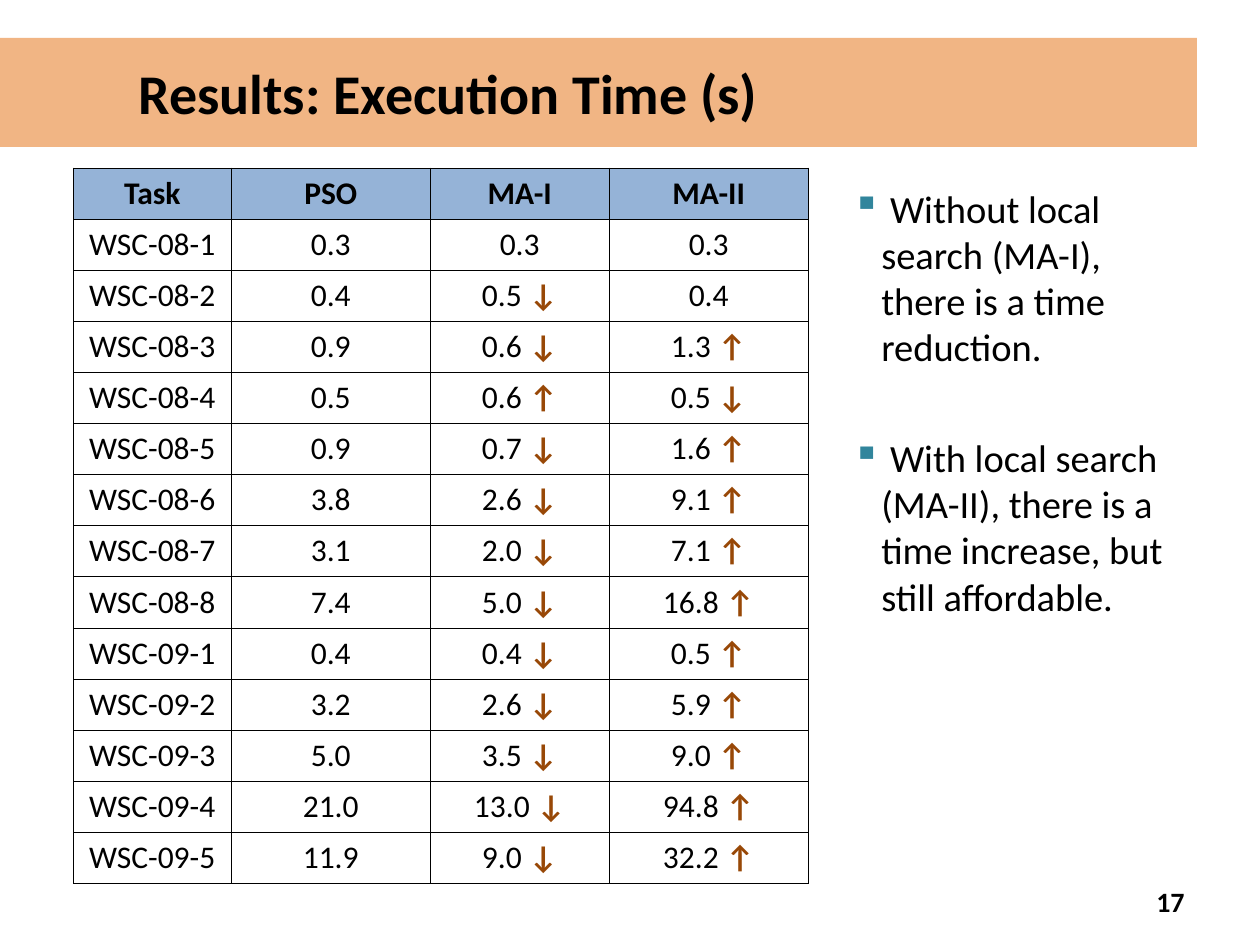
from dataclasses import dataclass

from lxml import etree
from pptx import Presentation
from pptx import util as u
from pptx.dml.color import RGBColor
from pptx.enum import shapes, text
from pptx.oxml import ns

BLACK = RGBColor(0x00, 0x00, 0x00)
WHITE = RGBColor(0xFF, 0xFF, 0xFF)
ORANGE = RGBColor(0xE4, 0x6C, 0x0A)
BLUE = RGBColor(0x95, 0xB3, 0xD7)
BROWN = RGBColor(0x98, 0x48, 0x07)
TEAL = RGBColor(0x31, 0x85, 0x9C)
FACE = "Calibri"
UNIT = u.Inches(10) / 120  # the slide is a grid of 120 columns by 90 rows


@dataclass(frozen=True)
class Box:
    col: float
    row: float
    wide: float
    high: float

    def place(self) -> tuple:
        return tuple(cells(n) for n in (self.col, self.row, self.wide, self.high))


@dataclass(frozen=True)
class Result:
    task: str
    pso: str
    first: str
    second: str

    def values(self) -> tuple:
        return self.task, self.pso, self.first, self.second


BANNER = Box(0, 3.6, 114, 10.4)
TABLE = Box(7, 16, 70, 68.16)
NOTES = Box(80, 17, 34, 65)
NUMBER = Box(86, 83.4, 28, 4.8)
COLS = (15, 19, 17, 19)
HEAD = Result("Task", "PSO", "MA-I", "MA-II")
RESULTS = (
    Result("WSC-08-1", "0.3", "0.3", "0.3"),
    Result("WSC-08-2", "0.4", "0.5 ↓", "0.4"),
    Result("WSC-08-3", "0.9", "0.6 ↓", "1.3 ↑"),
    Result("WSC-08-4", "0.5", "0.6 ↑", "0.5 ↓"),
    Result("WSC-08-5", "0.9", "0.7 ↓", "1.6 ↑"),
    Result("WSC-08-6", "3.8", "2.6 ↓", "9.1 ↑"),
    Result("WSC-08-7", "3.1", "2.0 ↓", "7.1 ↑"),
    Result("WSC-08-8", "7.4", "5.0 ↓", "16.8 ↑"),
    Result("WSC-09-1", "0.4", "0.4 ↓", "0.5 ↑"),
    Result("WSC-09-2", "3.2", "2.6 ↓", "5.9 ↑"),
    Result("WSC-09-3", "5.0", "3.5 ↓", "9.0 ↑"),
    Result("WSC-09-4", "21.0", "13.0 ↓", "94.8 ↑"),
    Result("WSC-09-5", "11.9", "9.0 ↓", "32.2 ↑"),
)
POINTS = (
    " Without local search (MA-I), there is a time reduction.",
    " With local search (MA-II), there is a time increase, but still affordable.",
)


def cells(count: float) -> int:
    return round(count * UNIT)


def add(parent, tag: str, **attrs: str):
    return etree.SubElement(parent, ns.qn(tag), attrs)


def style(para, size: float, bold: bool = False, align=text.PP_ALIGN.LEFT) -> None:
    para.alignment = align
    font = para.font
    font.name, font.size, font.bold = FACE, u.Pt(size), bold
    font.color.rgb = BLACK


def border(cell) -> None:
    props = cell._tc.get_or_add_tcPr()
    for spot, side in enumerate(("a:lnL", "a:lnR", "a:lnT", "a:lnB")):
        line = add(props, side, w=str(u.Pt(0.45)))
        add(add(line, "a:solidFill"), "a:srgbClr", val=str(BLACK))
        props.insert(spot, line)  # borders come before the fill


def fill_cell(cell, value: str, head: bool) -> None:
    """Write a value, with its trailing arrow, if any, in brown."""
    cell.fill.solid()
    cell.fill.fore_color.rgb = BLUE if head else WHITE
    border(cell)
    para = cell.text_frame.paragraphs[0]
    style(para, 18, head, text.PP_ALIGN.CENTER)
    arrow = value[-1] if value[-1] in "↑↓" else ""
    para.add_run().text = value.removesuffix(arrow)
    if arrow:
        run = para.add_run()
        run.text = arrow
        run.font.bold = True
        run.font.color.rgb = BROWN


def draw_table(slide) -> None:
    rows = (HEAD, *RESULTS)
    table = slide.shapes.add_table(len(rows), len(COLS), *TABLE.place()).table
    for col, wide in zip(table.columns, COLS):
        col.width = cells(wide)
    for r, row in enumerate(rows):
        table.rows[r].height = cells(TABLE.high / len(rows))
        for c, value in enumerate(row.values()):
            fill_cell(table.cell(r, c), value, r == 0)


def draw_banner(slide) -> None:
    shape = slide.shapes.add_shape(shapes.MSO_SHAPE.RECTANGLE, *BANNER.place())
    shape.shadow.inherit = False
    shape.line.fill.background()
    shape.fill.solid()
    shape.fill.fore_color.rgb = ORANGE
    tone = shape._element.spPr.find(".//" + ns.qn("a:srgbClr"))
    add(tone, "a:alpha", val="50000")
    frame = shape.text_frame
    frame.margin_left = u.Inches(1.1)
    frame.vertical_anchor = text.MSO_ANCHOR.MIDDLE
    para = frame.paragraphs[0]
    para.text = "Results: Execution Time (s)"
    style(para, 32, True)


def text_box(slide, box: Box):
    frame = slide.shapes.add_textbox(*box.place()).text_frame
    frame.word_wrap = True
    return frame


def draw_notes(slide) -> None:
    frame = text_box(slide, NOTES)
    for i, point in enumerate(POINTS):
        para = frame.add_paragraph() if i else frame.paragraphs[0]
        para.text = point
        if i:
            para.space_before = u.Pt(37)
        props = para._p.get_or_add_pPr()
        hang = u.Inches(0.23)
        props.set("marL", str(hang))
        props.set("indent", str(-hang))
        add(add(props, "a:buClr"), "a:srgbClr", val=str(TEAL))
        add(props, "a:buChar", char="▪")
        style(para, 22)


def draw_number(slide) -> None:
    frame = text_box(slide, NUMBER)
    frame.vertical_anchor = text.MSO_ANCHOR.MIDDLE
    para = frame.paragraphs[0]
    para.text = "17"
    style(para, 16, True, text.PP_ALIGN.RIGHT)


def main() -> None:
    deck = Presentation()
    deck.slide_width, deck.slide_height = cells(120), cells(90)
    slide = deck.slides.add_slide(deck.slide_layouts[6])
    for draw in (draw_banner, draw_number, draw_table, draw_notes):
        draw(slide)
    deck.save("out.pptx")


if __name__ == "__main__":
    main()
